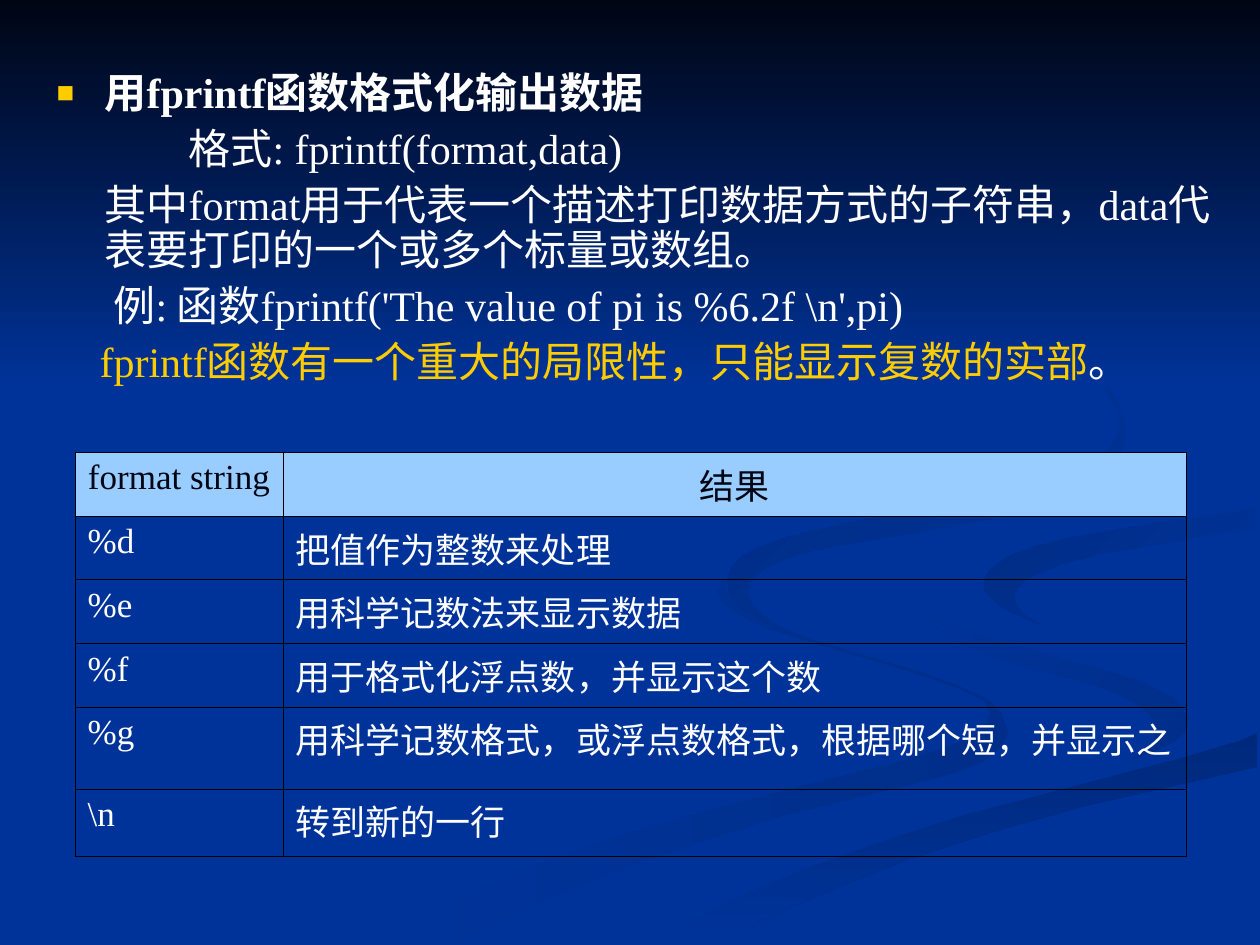
from dataclasses import dataclass

from lxml import etree
from pptx import Presentation
from pptx.dml.color import RGBColor
from pptx.enum.shapes import MSO_SHAPE
from pptx.enum.text import MSO_AUTO_SIZE, PP_ALIGN
from pptx.oxml.ns import qn
from pptx.util import Pt

BOX = MSO_SHAPE.RECTANGLE
FIXED = MSO_AUTO_SIZE.NONE
LEFT, MID = PP_ALIGN.LEFT, PP_ALIGN.CENTER
UNIT = 914400 / 126  # EMU in one px


@dataclass(frozen=True)
class Theme:
    face: str = "Times New Roman"
    blue: str = "003399"
    night: str = "000514"
    white: str = "FFFFFF"
    gold: str = "FFCC00"
    sky: str = "99CCFF"
    edge: str = "000000"
    text: int = 24
    cell: int = 20
    rule: float = 0.45


def px(n):
    return round(n * UNIT)


def add(node, tag, **attrs):
    return etree.SubElement(node, qn(tag), attrs)


class Deck:
    def __init__(self, theme):
        self.theme = theme
        self.prs = Presentation()
        self.prs.slide_width, self.prs.slide_height = px(1260), px(945)
        self.slide = self.prs.slides.add_slide(self.prs.slide_layouts[1])
        self.shapes = self.slide.shapes
        title = self.shapes.title.element
        title.getparent().remove(title)
        back = self.slide.background.fill
        back.solid()
        back.fore_color.rgb = RGBColor.from_string(theme.blue)

    def paint(self, shape, first, last, angle):
        """Fill with a gradient; the angle runs clockwise."""
        shape.shadow.inherit = False
        shape.line.fill.background()
        fill = shape.fill
        if first == last:
            fill.solid()
            fill.fore_color.rgb = RGBColor.from_string(first)
            return
        fill.gradient()
        fill.gradient_angle = (360 - angle) % 360
        for stop, tone in zip(fill.gradient_stops, (first, last)):
            stop.color.rgb = RGBColor.from_string(tone)

    def swirl(self, points, first, last, angle=0):
        pen = self.shapes.build_freeform(*points[0], scale=UNIT)
        pen.add_line_segments(points[1:], close=True)
        self.paint(pen.convert_to_shape(), first, last, angle)

    def band(self, x, y, w, h, first, last, angle):
        shape = self.shapes.add_shape(BOX, px(x), px(y), px(w), px(h))
        self.paint(shape, first, last, angle)

    def put(self, para, words, tone, size, bold=False):
        run = para.add_run()
        run.text = words
        look = {"name": self.theme.face, "size": Pt(size), "bold": bold}
        for key, value in look.items():
            setattr(run.font, key, value)
        run.font.color.rgb = RGBColor.from_string(tone)

    def body(self, x, y, w, h, lines):
        """Each line: left margin, first-line indent, tab stop, bold, runs."""
        shape = self.slide.placeholders[1]
        place = {"left": x, "top": y, "width": w, "height": h}
        for key, value in place.items():
            setattr(shape, key, px(value))
        frame = shape.text_frame
        frame.word_wrap, frame.auto_size = True, FIXED
        # Keep the text above the background art
        tree = shape.element.getparent()
        tree.append(shape.element)
        for i, (left, hang, tab, bold, runs) in enumerate(lines):
            para = frame.add_paragraph() if i else frame.paragraphs[0]
            props = para._p.get_or_add_pPr()
            props.set("marL", str(px(left)))
            props.set("indent", str(px(hang)))
            if hang:
                add(add(props, "a:buClr"), "a:srgbClr", val=self.theme.gold)
                add(props, "a:buSzPct", val="70000")
                add(props, "a:buChar", char="■")
            else:
                add(props, "a:buNone")
            if tab:
                add(add(props, "a:tabLst"), "a:tab", pos=str(px(tab)), algn="l")
            para.line_spacing = 0.9
            para.space_before = Pt(6 if i else 0)
            for words, tone in runs:
                self.put(para, words, tone, self.theme.text, bold)

    def border(self, cell):
        props = cell._tc.get_or_add_tcPr()
        for tag in ("a:lnL", "a:lnR", "a:lnT", "a:lnB"):
            line = add(props, tag, w=str(int(Pt(self.theme.rule))))
            add(add(line, "a:solidFill"), "a:srgbClr", val=self.theme.edge)

    def table(self, x, y, cols, rows, data):
        theme = self.theme
        grid = self.shapes.add_table(len(rows), len(cols), px(x), px(y),
                                     px(sum(cols)), px(sum(rows))).table
        grid.first_row = grid.horz_banding = False
        for col, size in zip(grid.columns, cols):
            col.width = px(size)
        for r, (row, size) in enumerate(zip(grid.rows, rows)):
            row.height = px(size)
            for cell, words in zip(row.cells, data[r]):
                self.border(cell)
                if r:
                    cell.fill.background()
                else:
                    cell.fill.solid()
                    cell.fill.fore_color.rgb = RGBColor.from_string(theme.sky)
                para = cell.text_frame.paragraphs[0]
                para.alignment = LEFT if r else MID
                tone = theme.white if r else theme.night
                self.put(para, words, tone, theme.cell)


# Background curves, in px
LOOP = [
    (984, 697), (954, 684), (921, 672), (859, 654), (809, 639), (774, 625), (748, 611),
    (735, 601), (726, 591), (724, 578), (718, 590), (721, 600), (732, 610), (747, 619),
    (770, 629), (824, 646), (878, 662), (917, 674), (960, 689), (984, 701), (990, 713),
    (987, 723), (975, 735), (944, 748), (900, 762), (822, 781), (730, 805), (629, 833),
    (525, 869), (426, 916), (378, 944), (455, 944), (543, 900), (629, 866), (711, 838),
    (785, 815), (852, 799), (908, 785), (953, 774), (983, 762), (997, 752), (1007, 737),
    (1008, 732), (1002, 714), (990, 701)]
BEND = [
    (1188, 719), (1183, 708), (1172, 697), (1140, 680), (1096, 668), (1046, 654), (998, 641),
    (955, 627), (924, 609), (914, 591), (912, 585), (914, 597), (924, 615), (940, 630),
    (965, 645), (1004, 660), (1056, 675), (1094, 685), (1124, 697), (1143, 708), (1153, 719),
    (1157, 732), (1152, 742), (1143, 752), (1126, 762), (1154, 752), (1174, 742), (1186, 732)]
TAIL = [
    (654, 941), (634, 944), (719, 944), (756, 924), (794, 906), (844, 885), (910, 859),
    (989, 833), (1085, 806), (1196, 781), (1257, 767), (1257, 732), (1230, 743), (1179, 759),
    (1092, 781), (1004, 804), (963, 815), (877, 843), (794, 873), (717, 906)]
ROAD = [
    (914, 585), (917, 597), (925, 609), (956, 627), (999, 641), (1047, 654), (1097, 668),
    (1140, 680), (1173, 697), (1183, 708), (1188, 718), (1187, 730), (1179, 740), (1167, 747),
    (1148, 756), (1124, 762), (1095, 770), (1024, 788), (936, 810), (835, 842), (722, 886),
    (601, 944), (634, 944), (654, 941), (717, 906), (794, 873), (877, 843), (964, 815),
    (1048, 793), (1139, 769), (1198, 753), (1242, 740), (1259, 732), (1259, 678), (1227, 673),
    (1186, 664), (1139, 654), (1091, 641), (1048, 627), (1013, 611), (990, 596), (985, 583),
    (990, 571), (1008, 557), (1036, 547), (1071, 538), (1133, 527), (1220, 515), (1259, 507),
    (1259, 488), (1212, 498), (1159, 505), (1072, 518), (993, 532), (951, 544), (922, 562)]
HOOK = [
    (984, 580), (985, 591), (990, 597), (1004, 609), (1027, 619), (1041, 625), (1023, 614),
    (1016, 605), (1014, 595), (1019, 587), (1028, 578), (1062, 564), (1106, 553), (1179, 541),
    (1223, 533), (1257, 529), (1257, 507), (1218, 515), (1131, 527), (1069, 538), (1034, 547),
    (1007, 557), (989, 571)]
CURL = [
    (861, 542), (931, 530), (990, 519), (1040, 507), (1077, 493), (1104, 476), (1120, 456),
    (1126, 433), (1121, 408), (1109, 387), (1089, 367), (1062, 347), (1021, 323), (983, 304),
    (960, 294), (987, 306), (1041, 335), (1077, 359), (1104, 386), (1119, 413), (1119, 430),
    (1111, 446), (1096, 460), (1074, 471), (1046, 481), (997, 494), (924, 509), (852, 522),
    (788, 537), (762, 546), (742, 556), (731, 568), (727, 582), (731, 597), (743, 610),
    (761, 620), (784, 630), (765, 617), (752, 605), (747, 592), (751, 581), (764, 569),
    (786, 559), (818, 549)]


def main():
    theme = Theme()
    deck = Deck(theme)
    blue, white, gold = theme.blue, theme.white, theme.gold

    # Background
    for curve in ((LOOP, "002E8A", blue, 180), (BEND, "002E8A", blue, 225),
                  (TAIL, "00297C", blue, 90), (ROAD, blue, blue),
                  (HOOK, blue, "002C85", 225), (CURL, blue, "002B81", 225)):
        deck.swirl(*curve)
    deck.band(0, 0, 1260, 388, theme.night, blue, 90)

    # Explanation
    deck.body(44, 66, 1216, 338, [
        (48, -48, 0, True, [("用fprintf函数格式化输出数据", white)]),
        (132, 0, 0, False, [("格式: fprintf(format,data)", white)]),
        (48, 0, 0, False, [("其中format用于代表一个描述打印数据方式的子符串，"
                            "data代表要打印的一个或多个标量或数组。", white)]),
        (57, 0, 152, False, [("例:\t函数fprintf('The value of pi is %6.2f \\n',pi)", white)]),
        (43, 0, 0, False, [("fprintf函数有一个重大的局限性，只能显示复数的实部", gold),
                           ("。", white)])])

    # Format table
    deck.table(75, 452, (208, 903), (64, 63, 64, 63, 82, 68), [
        ("format string", "结果"),
        ("%d", "把值作为整数来处理"),
        ("%e", "用科学记数法来显示数据"),
        ("%f", "用于格式化浮点数，并显示这个数"),
        ("%g", "用科学记数格式，或浮点数格式，根据哪个短，并显示之"),
        ("\\n", "转到新的一行")])
    deck.prs.save("out.pptx")


if __name__ == "__main__":
    main()
